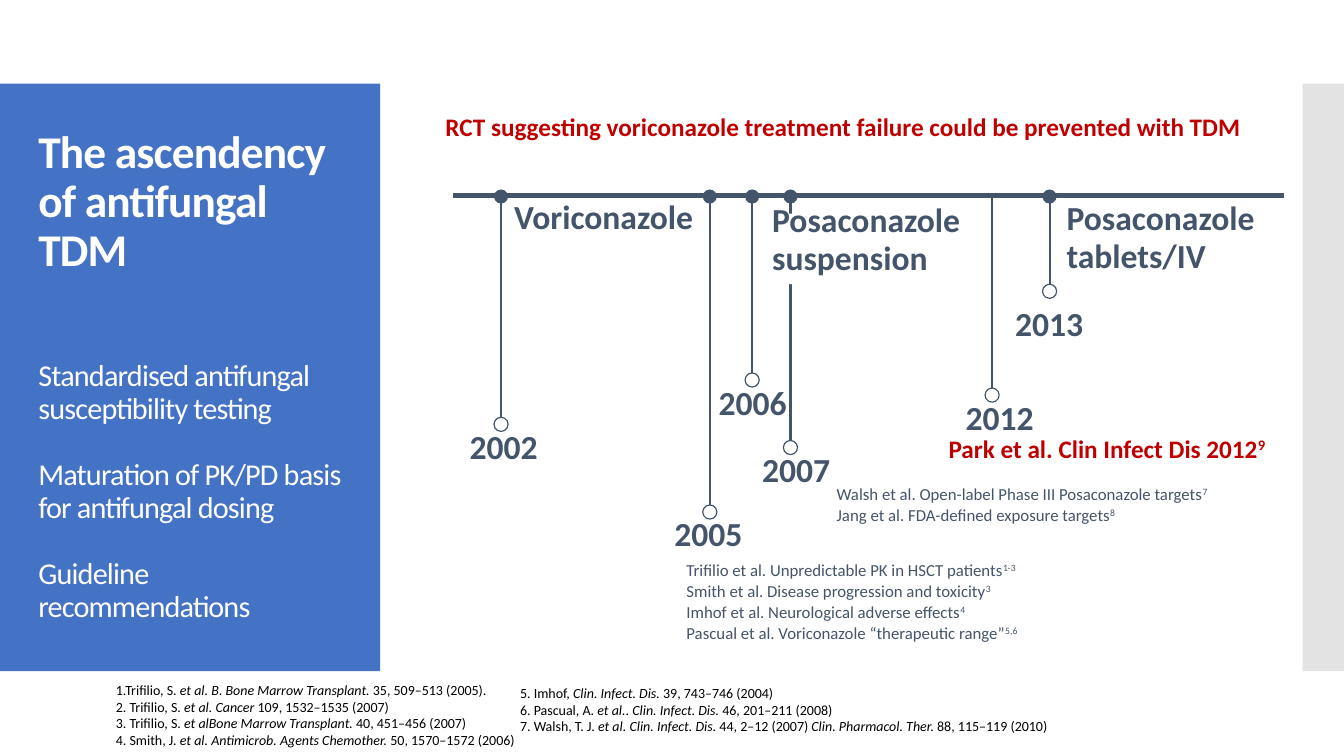
from lxml.etree import SubElement
from pptx import Presentation
from pptx.dml.color import RGBColor
from pptx.enum.shapes import MSO_CONNECTOR, MSO_SHAPE
from pptx.enum.text import MSO_ANCHOR, MSO_AUTO_SIZE, PP_ALIGN
from pptx.oxml.ns import qn
from pptx.util import Inches, Pt

BLUE = RGBColor(0x44, 0x72, 0xC4)
SLATE = RGBColor(0x44, 0x54, 0x6A)
RED = RGBColor(0xC0, 0x00, 0x00)
GREY = RGBColor(0xC8, 0xC8, 0xC8)
WHITE = RGBColor(0xFF, 0xFF, 0xFF)
BLACK = RGBColor(0x00, 0x00, 0x00)

AXIS_Y = 1.94
DOT = 0.14

TITLE = [("The ascendency of antifungal TDM",)]
TOPICS = [
    ("Standardised antifungal susceptibility testing",),
    ("Maturation of PK/PD basis for antifungal dosing",),
    ("Guideline\nrecommendations",),
]
EARLY_MILESTONES = [
    ("2002", 4.97, 4.14, 4.56, 4.37, True),
    ("2013", 10.41, 2.82, 9.97, 3.15, True),
    ("2006", 7.46, 3.70, 7.03, 3.93, True),
    ("2005", 7.04, 5.01, 6.59, 5.23, True),
    ("2007", 7.84, 4.37, 7.46, 4.60, True),
]
TRIAL_MILESTONE = ("2012", 9.84, 3.85, 9.48, 4.08, False)
TARGET_STUDIES = [
    ("Walsh et al. Open-label Phase III Posaconazole targets", "7"),
    ("Jang et al. FDA-defined exposure targets", "8"),
]
VORICONAZOLE_STUDIES = [
    ("Trifilio et al. Unpredictable PK in HSCT patients", "1-3"),
    ("Smith et al. Disease progression and toxicity", "3"),
    ("Imhof et al. Neurological adverse effects", "4"),
    ("Pascual et al. Voriconazole “therapeutic range”", "5,6"),
]
LEFT_REFERENCES = [
    ("1.Trifilio, S. ", "et al. B", ". ", "Bone Marrow Transplant.", " 35, 509–513 (2005)."),
    ("2. Trifilio, S. ", "et al. Cancer", " 109, 1532–1535 (2007)"),
    ("3. Trifilio, S. ", "et alBone Marrow Transplant.", " 40, 451–456 (2007)"),
    ("4. Smith, J. ", "et al. Antimicrob. Agents Chemother.", " 50, 1570–1572 (2006)"),
]
RIGHT_REFERENCES = [
    ("5. Imhof, ", "Clin. Infect. Dis.", " 39, 743–746 (2004)"),
    ("6. Pascual, A. ", "et al.", ". ", "Clin. Infect. Dis.", " 46, 201–211 (2008)"),
    ("7. Walsh, T. J. ", "et al. Clin. Infect. Dis.", " 44, 2–12 (2007) ",
     "Clin. Pharmacol. Ther.", " 88, 115–119 (2010)"),
]


class TimelineSlide:
    """Holds the type style and the current slide, and draws its elements."""

    font_name = "Calibri"

    def __init__(self, presentation):
        self.slide = presentation.slides.add_slide(presentation.slide_layouts[1])
        self.shapes = self.slide.shapes

    def add_lines(self, frame, lines, size, color, bold=False, accent=None,
                  leading=None, gap=0, tracking=None):
        for index, runs in enumerate(lines):
            paragraph = frame.paragraphs[0] if index == 0 else frame.add_paragraph()
            paragraph.alignment = PP_ALIGN.LEFT
            paragraph.line_spacing = leading
            paragraph.space_before = Pt(gap if index else 0)
            for position, text in enumerate(runs):
                for part, piece in enumerate(text.split("\n")):
                    if part:
                        paragraph.add_line_break()
                    run = paragraph.add_run()
                    run.text = piece
                    run.font.name = self.font_name
                    run.font.size = Pt(size)
                    run.font.bold = bold
                    run.font.color.rgb = color
                    properties = run._r.get_or_add_rPr()
                    if tracking:
                        properties.set("spc", str(tracking))
                    if position % 2 and accent == "italic":
                        run.font.italic = True
                    if position % 2 and accent == "superscript":
                        properties.set("baseline", "30000")

    def placeholder(self, index, top, height, lines, size, bold=False, gap=0):
        shape = self.slide.placeholders[index]
        shape.left, shape.top = Inches(0.28), Inches(top)
        shape.width, shape.height = Inches(3.22), Inches(height)
        frame = shape.text_frame
        frame.word_wrap = True
        frame.auto_size = MSO_AUTO_SIZE.NONE
        frame.vertical_anchor = MSO_ANCHOR.TOP
        self.add_lines(frame, lines, size, WHITE, bold, leading=0.9, gap=gap, tracking=-60)
        for paragraph in frame.paragraphs:
            properties = paragraph._p.get_or_add_pPr()
            properties.set("marL", "0")
            properties.set("indent", "0")
            SubElement(properties, qn("a:buNone"))

    def text(self, left, top, width, height, lines, size, color, wrap=True, **style):
        box = self.shapes.add_textbox(Inches(left), Inches(top), Inches(width), Inches(height))
        box.text_frame.word_wrap = wrap
        self.add_lines(box.text_frame, lines, size, color, **style)
        return box

    def heading(self, left, top, width, height, *words):
        lines = [(word,) for word in words]
        return self.text(left, top, width, height, lines, 24, SLATE,
                         bold=True, leading=Pt(15), gap=12)

    def shape(self, kind, left, top, width, height, fill=None, outline=None):
        shape = self.shapes.add_shape(kind, Inches(left), Inches(top),
                                      Inches(width), Inches(height))
        shape.shadow.inherit = False
        if fill is None:
            shape.fill.background()
        else:
            shape.fill.solid()
            shape.fill.fore_color.rgb = fill
        if outline is None:
            shape.line.fill.background()
        else:
            shape.line.color.rgb = outline
            shape.line.width = Pt(0.85)
        return shape

    def band(self, left, width, color, opacity=100):
        band = self.shape(MSO_SHAPE.RECTANGLE, left, 0.83, width, 5.83, color)
        if opacity < 100:
            color_element = band._element.spPr.find(qn("a:solidFill"))[0]
            SubElement(color_element, qn("a:alpha"), val=str(opacity * 1000))
        self.shapes.title._element.addprevious(band._element)

    def line(self, start_x, start_y, end_x, end_y, width):
        connector = self.shapes.add_connector(
            MSO_CONNECTOR.STRAIGHT, Inches(start_x), Inches(start_y),
            Inches(end_x), Inches(end_y))
        connector.line.color.rgb = SLATE
        connector.line.width = Pt(width)
        SubElement(connector._element.spPr, qn("a:effectLst"))
        return connector

    def milestone(self, year, x, marker_top, label_left, label_top, has_dot):
        left = x - DOT / 2
        if has_dot:
            self.shape(MSO_SHAPE.OVAL, left, AXIS_Y - 0.06, DOT, DOT, SLATE)
        stem = self.line(x, AXIS_Y, x, marker_top, 1.5)
        marker = self.shape(MSO_SHAPE.OVAL, left, marker_top, DOT, DOT, outline=SLATE)
        stem.end_connect(marker, 0)
        self.heading(label_left, label_top, 1.67, 0.95, year)


def main():
    presentation = Presentation()
    presentation.slide_width = Inches(13.33)
    presentation.slide_height = Inches(7.5)
    timeline = TimelineSlide(presentation)

    timeline.band(0, 3.77, BLUE)
    timeline.band(12.92, 0.41, GREY, opacity=50)
    timeline.placeholder(0, 1.23, 1.7, TITLE, 32.4, bold=True)
    timeline.placeholder(1, 3.53, 2.73, TOPICS, 21.6, gap=24)

    timeline.line(4.49, AXIS_Y, 12.73, AXIS_Y, 3.25)
    for milestone in EARLY_MILESTONES:
        timeline.milestone(*milestone)
    timeline.heading(5, 2.09, 2.14, 0.95, "Voriconazole")
    timeline.heading(10.48, 2.1, 2.59, 0.95, "Posaconazole", "tablets/IV")
    suspension = timeline.heading(7.56, 2.12, 2.59, 0.7, "Posaconazole", "suspension")
    suspension.fill.solid()
    suspension.fill.fore_color.rgb = WHITE
    timeline.milestone(*TRIAL_MILESTONE)

    studies = {"accent": "superscript", "leading": Pt(15)}
    timeline.text(8.2, 4.74, 4.24, 0.95, TARGET_STUDIES, 12, SLATE, **studies)
    timeline.text(6.71, 5.5, 3.85, 0.95, VORICONAZOLE_STUDIES, 12, SLATE, **studies)
    timeline.text(9.31, 4.34, 4.24, 0.95, [("Park et al. Clin Infect Dis 2012", "9")],
                  18, RED, bold=True, **studies)
    timeline.text(4.32, 1.06, 8.15, 0.4,
                  [("RCT suggesting voriconazole treatment failure could be prevented with TDM",)],
                  18, RED, wrap=False, bold=True)

    timeline.text(1.05, 6.71, 6.78, 0.77, LEFT_REFERENCES, 10, BLACK, accent="italic")
    timeline.text(5.06, 6.74, 5.64, 0.77, RIGHT_REFERENCES, 10, BLACK,
                  wrap=False, accent="italic")
    presentation.save("out.pptx")


if __name__ == "__main__":
    main()
